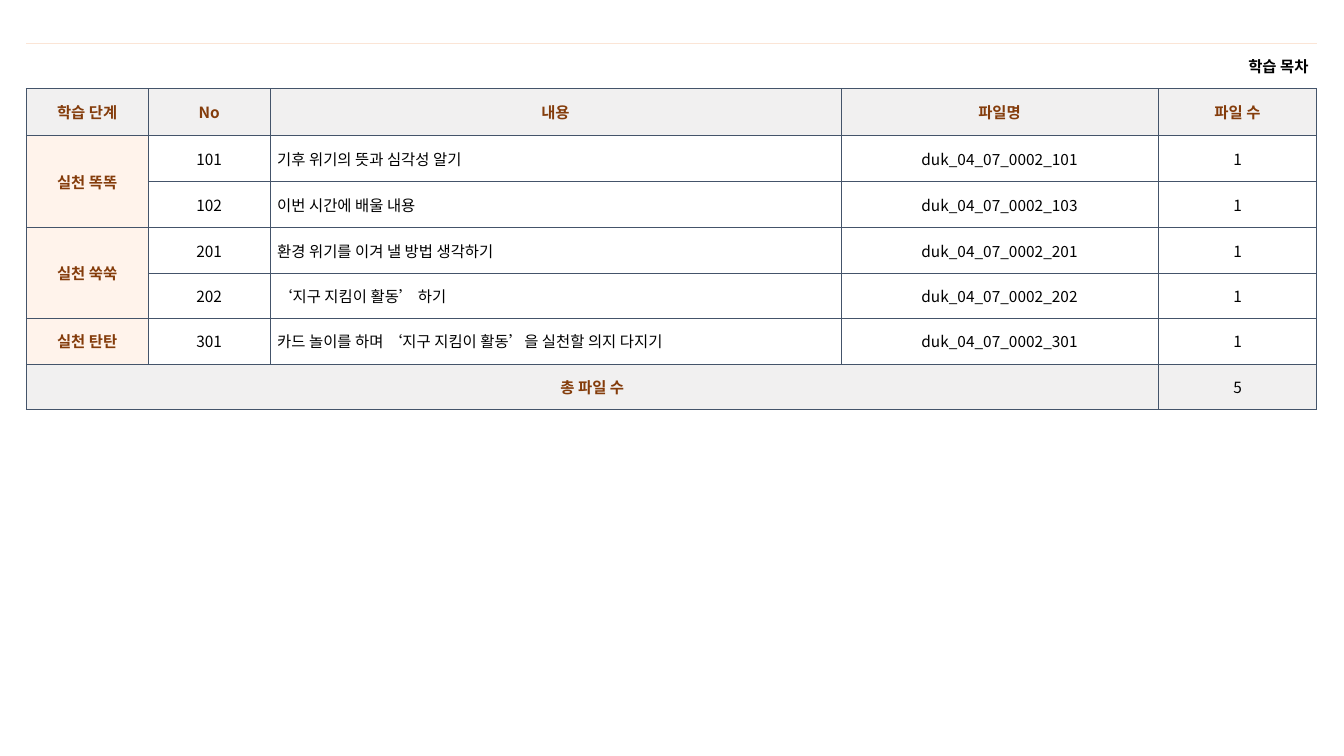
"""Builds a lesson contents slide holding one table of files."""
from lxml import etree
from pptx import Presentation
from pptx import util as u
from pptx.dml import color
from pptx.enum import text
from pptx.oxml import ns

FONT = "Noto Sans CJK KR"
WIDTH, HEIGHT = 13.33, 7.5
COLUMNS = [1.21, 1.21, 5.66, 3.15, 1.57]
ROWS = [0.45, 0.46, 0.46, 0.46, 0.45, 0.45, 0.45, 0.45]
BROWN, BLACK, WHITE = "843C0B", "000000", "FFFFFF"
GREY, PEACH = "F1F0F0", "FFF3EB"
GRID, TOP_RULE = ("44546A", 0.5), ("FBE5D6", 0.25)
LEFT, CENTER, RIGHT = text.PP_ALIGN.LEFT, text.PP_ALIGN.CENTER, text.PP_ALIGN.RIGHT
HEADINGS = ["학습 단계", "No", "내용", "파일명", "파일 수"]
LESSONS = [
    ("실천 똑똑", "101", "기후 위기의 뜻과 심각성 알기", "duk_04_07_0002_101", "1"),
    ("", "102", "이번 시간에 배울 내용", "duk_04_07_0002_103", "1"),
    ("실천 쑥쑥", "201", "환경 위기를 이겨 낼 방법 생각하기", "duk_04_07_0002_201", "1"),
    ("", "202", "‘지구 지킴이 활동’ 하기", "duk_04_07_0002_202", "1"),
    ("실천 탄탄", "301", "카드 놀이를 하며 ‘지구 지킴이 활동’을 실천할 의지 다지기",
     "duk_04_07_0002_301", "1"),
]


def rgb(value):
    return color.RGBColor.from_string(value)


def set_borders(cell, left=GRID, right=GRID, top=GRID, bottom=GRID):
    properties = cell._tc.get_or_add_tcPr()
    sides = zip(("lnL", "lnR", "lnT", "lnB"), (left, right, top, bottom))
    for index, (side, border) in enumerate(sides):
        line = etree.Element(ns.qn(f"a:{side}"))
        if border:
            tint, points = border
            line.set("w", str(u.Pt(points)))
            solid = etree.SubElement(line, ns.qn("a:solidFill"))
            etree.SubElement(solid, ns.qn("a:srgbClr"), val=tint)
        else:
            etree.SubElement(line, ns.qn("a:noFill"))
        properties.insert(index, line)


def fill_cell(cell, wording, fill=WHITE, tint=BLACK, bold=False, align=CENTER, inset=0.07):
    cell.vertical_anchor = text.MSO_ANCHOR.MIDDLE
    cell.margin_left = cell.margin_right = u.Inches(inset)
    cell.margin_top = cell.margin_bottom = u.Inches(0.05)
    if fill:
        cell.fill.solid()
        cell.fill.fore_color.rgb = rgb(fill)
    else:
        cell.fill.background()
    paragraph = cell.text_frame.paragraphs[0]
    paragraph.alignment = align
    if wording:
        run = paragraph.add_run()
        run.text = wording
        run.font.name, run.font.size, run.font.bold = FONT, u.Pt(11), bold
        run.font.color.rgb = rgb(tint)
        etree.SubElement(run.font._element, ns.qn("a:ea"), typeface=FONT)


def add_contents_table(slide):
    contents = slide.shapes.add_table(
        len(ROWS), len(COLUMNS), u.Inches(0.26), u.Inches(0.43),
        u.Inches(sum(COLUMNS)), u.Inches(sum(ROWS))).table
    contents.first_row = contents.horz_banding = False
    for column, width in zip(contents.columns, COLUMNS):
        column.width = u.Inches(width)
    for row, height in zip(contents.rows, ROWS):
        row.height = u.Inches(height)
    return contents


def fill_title(contents):
    for column in range(len(COLUMNS)):
        title = contents.cell(0, column)
        fill_cell(title, "" if column else "학습 목차", None, bold=True, align=RIGHT, inset=0.08)
        set_borders(title, None, None, TOP_RULE)


def fill_rows(contents):
    total = ["총 파일 수", "", "", "", "5"]
    last = len(ROWS) - 1
    for row, wordings in enumerate([HEADINGS, *LESSONS, total], 1):
        for column, wording in enumerate(wordings):
            outer = row in (1, last)
            label = row == 1 or column == 0
            fill = GREY if outer else PEACH if label else WHITE
            align = LEFT if column == 2 and not outer else CENTER
            cell = contents.cell(row, column)
            fill_cell(cell, wording, fill, BROWN if label else BLACK, label, align)
            set_borders(cell)


def merge(contents, first, final):
    contents.cell(*first).merge(contents.cell(*final))


def main():
    deck = Presentation()
    deck.slide_width, deck.slide_height = u.Inches(WIDTH), u.Inches(HEIGHT)
    contents = add_contents_table(deck.slides.add_slide(deck.slide_layouts[6]))
    fill_title(contents)
    fill_rows(contents)
    for first, final in [((0, 0), (0, 4)), ((2, 0), (3, 0)),
                         ((4, 0), (5, 0)), ((7, 0), (7, 3))]:
        merge(contents, first, final)
    deck.save("out.pptx")


if __name__ == "__main__":
    main()
